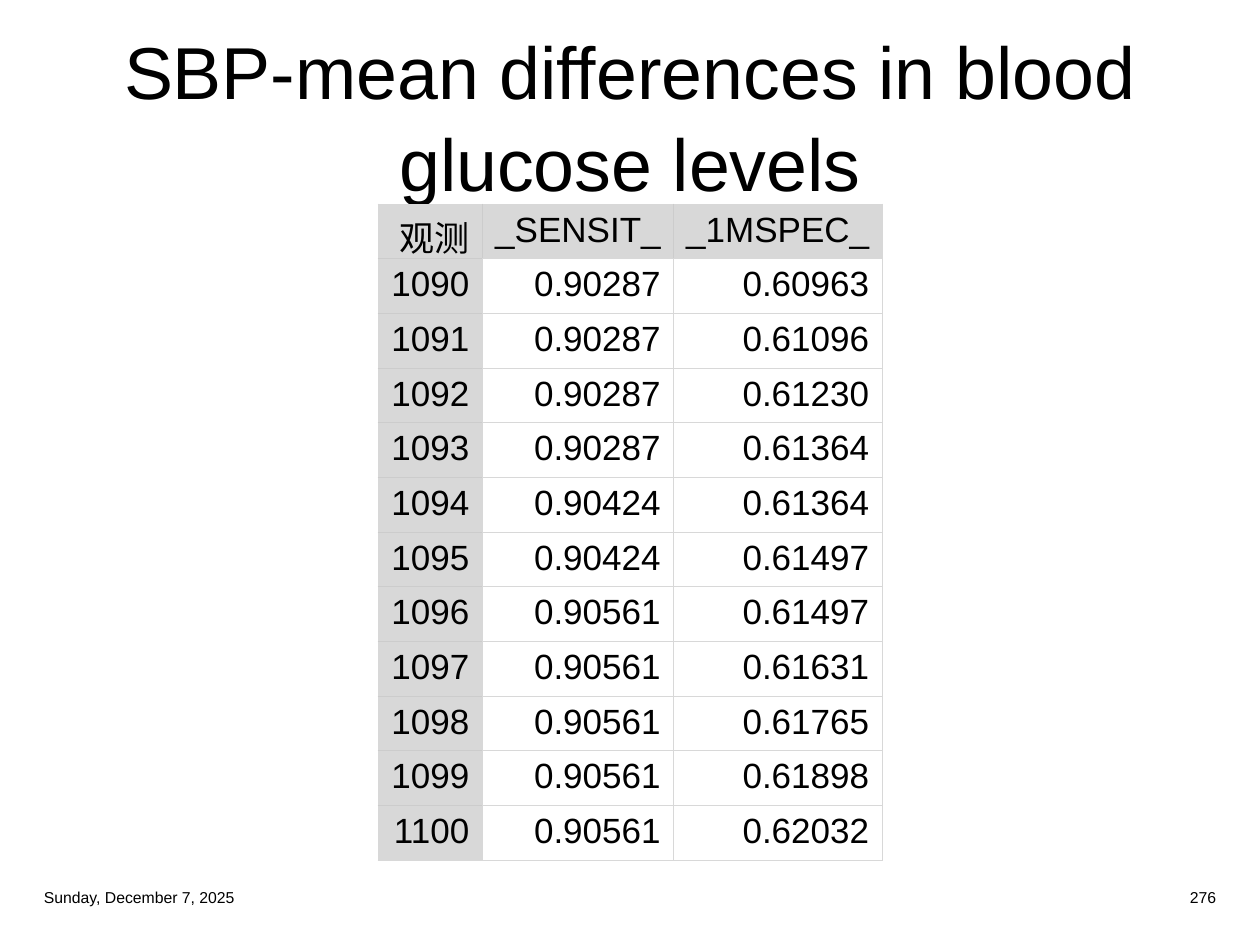
import pptx
import pptx.dml.color
import pptx.enum.text
import pptx.util
from dataclasses import dataclass
from lxml import etree
from pptx.oxml.ns import qn

ALIGN = pptx.enum.text.PP_ALIGN
ANCHOR = pptx.enum.text.MSO_ANCHOR


@dataclass
class Theme:
    font: str = "Arial"
    ink: str = "000000"
    shade: str = "D8D8D8"
    rule: str = "CCCCCC"
    title: int = 42
    body: int = 20
    small: int = 9
    line: float = 0.5


class Deck:
    """Draw styled elements on a slide with a grid of 40 columns and 30 rows."""

    def __init__(self, theme):
        self.theme = theme
        self.file = pptx.Presentation()
        self.file.slide_width = pptx.util.Inches(10)
        self.file.slide_height = pptx.util.Inches(7.5)
        self.slide = self.file.slides.add_slide(self.file.slide_layouts[6])

    def span(self, cols):
        return round(self.file.slide_width * cols / 40)

    def drop(self, rows):
        return round(self.file.slide_height * rows / 30)

    def place(self, col, row, wide, high):
        return self.span(col), self.drop(row), self.span(wide), self.drop(high)

    def style(self, frame, size, align):
        for para in frame.paragraphs:
            para.alignment = align
            for run in para.runs:
                run.font.size = pptx.util.Pt(size)
                run.font.name = self.theme.font
                run.font.color.rgb = pptx.dml.color.RGBColor.from_string(self.theme.ink)

    def text(self, words, area, size, align, pitch=1.0):
        frame = self.slide.shapes.add_textbox(*self.place(*area)).text_frame
        frame.word_wrap = True
        frame.vertical_anchor = ANCHOR.MIDDLE
        frame.text = words
        for para in frame.paragraphs:
            para.line_spacing = pitch
        self.style(frame, size, align)

    def edge(self, cell, side, color):
        line = etree.SubElement(cell._tc.get_or_add_tcPr(), qn("a:ln" + side))
        line.set("w", str(pptx.util.Pt(self.theme.line)))
        fill = etree.SubElement(line, qn("a:solidFill"))
        etree.SubElement(fill, qn("a:srgbClr")).set("val", color)

    def table(self, rows, area, widths):
        last, end = len(rows) - 1, len(widths) - 1
        grid = self.slide.shapes.add_table(last + 1, end + 1, *self.place(*area)).table
        grid.first_row = grid.horz_banding = False
        for col, wide in zip(grid.columns, widths):
            col.width = self.span(wide)
        for r, row in enumerate(rows):
            for c, value in enumerate(row):
                cell = grid.cell(r, c)
                cell.text = value
                self.style(cell.text_frame, self.theme.body, ALIGN.RIGHT)
                head = r == 0 or c == 0
                outer = {"L": c == 0, "R": c == end, "T": r == 0, "B": r == last}
                for side, rim in outer.items():
                    inner = head and not rim
                    self.edge(cell, side, self.theme.rule if inner else self.theme.shade)
                if head:
                    cell.fill.solid()
                    cell.fill.fore_color.rgb = pptx.dml.color.RGBColor.from_string(self.theme.shade)
                else:
                    cell.fill.background()


SENSIT = ["0.90287"] * 4 + ["0.90424"] * 2 + ["0.90561"] * 5
SPEC = ["0.60963", "0.61096", "0.61230", "0.61364", "0.61364", "0.61497",
        "0.61497", "0.61631", "0.61765", "0.61898", "0.62032"]


def main():
    theme = Theme()
    deck = Deck(theme)
    deck.text("SBP-mean differences in blood\vglucose levels",
              (1, 1, 38, 5.24), theme.title, ALIGN.CENTER, 1.04)
    rows = [("观测", "_SENSIT_", "_1MSPEC_")]
    rows += zip(map(str, range(1090, 1101)), SENSIT, SPEC)
    deck.table(rows, (12, 6.48, 16, 20), (3.3, 6.08, 6.62))
    deck.text("Sunday, December 7, 2025", (1, 27.96, 9.5, 1.04), theme.small, ALIGN.LEFT)
    deck.text("276", (29.5, 27.96, 9.5, 1.04), theme.small, ALIGN.RIGHT)
    deck.file.save("out.pptx")


if __name__ == "__main__":
    main()
